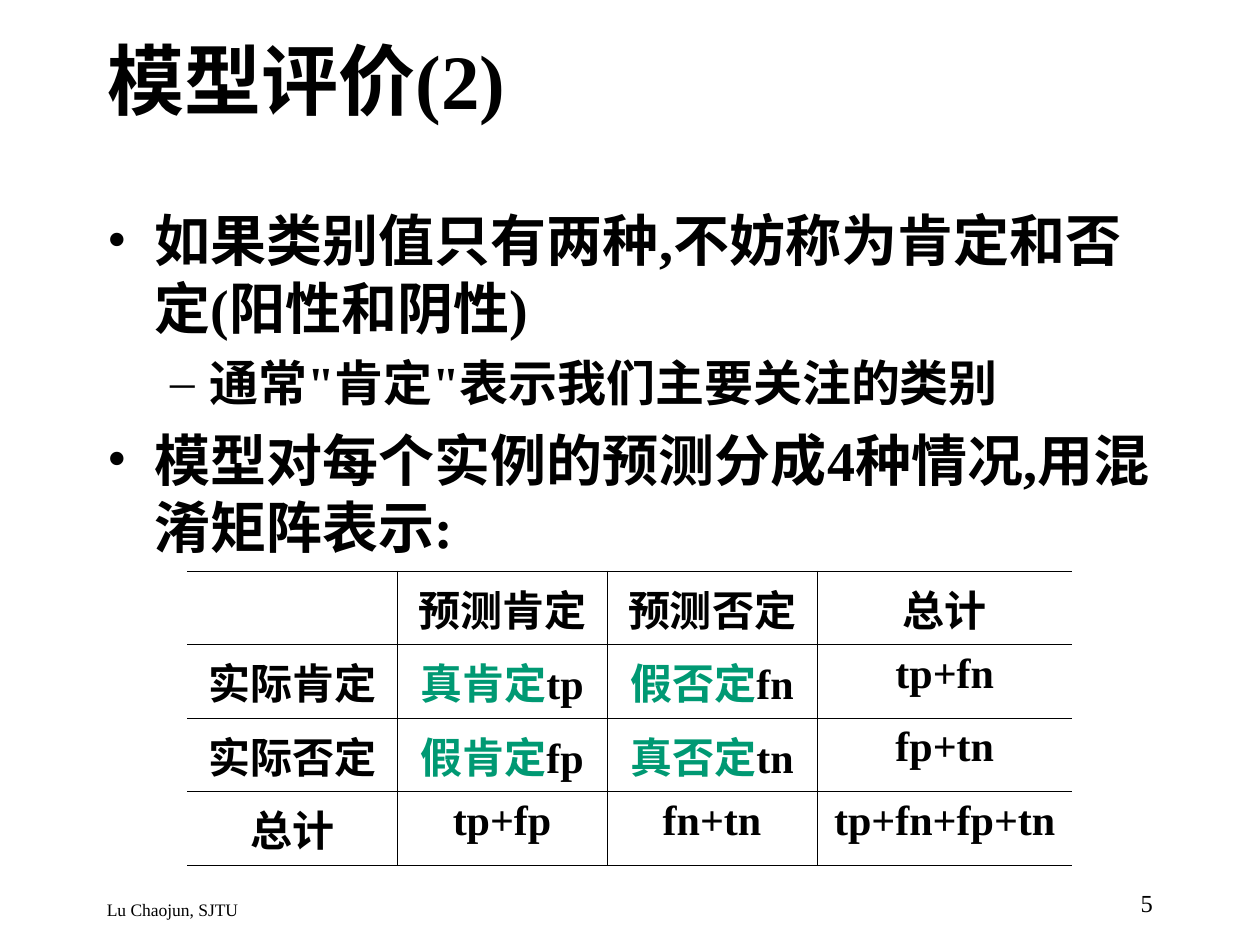
import pptx
import pptx.util
import pptx.dml.color
import pptx.enum.text
import pptx.oxml
import pptx.oxml.ns

Pt = pptx.util.Pt
RGB = pptx.dml.color.RGBColor
Align = pptx.enum.text.PP_ALIGN
Anchor = pptx.enum.text.MSO_ANCHOR
BLACK = RGB(0, 0, 0)
GREEN = RGB(0x00, 0x99, 0x73)
FONT = "Times New Roman"

TITLE = "模型评价(2)"
POINTS = [
    (0, "如果类别值只有两种,不妨称为肯定和否定(阳性和阴性)"),
    (1, "通常\"肯定\"表示我们主要关注的类别"),
    (0, "模型对每个实例的预测分成4种情况,用混淆矩阵表示:"),
]
LEVELS = [
    dict(size=32, left=27, hang=27, mark="•", before=8),
    dict(size=28, left=58.5, hang=22.5, mark="–", before=7),
]
MATRIX = [
    ["", "预测肯定", "预测否定", "总计"],
    ["实际肯定", ("真肯定", "tp"), ("假否定", "fn"), "tp+fn"],
    ["实际否定", ("假肯定", "fp"), ("真否定", "tn"), "fp+tn"],
    ["总计", "tp+fp", "fn+tn", "tp+fn+fp+tn"],
]
WIDTHS = [120, 120, 120, 146]
ROW = 28.8
NOTES = [
    ("Lu Chaojun, SJTU", 10, Align.LEFT, (54, 510, 417.6, 18)),
    ("5", 14, Align.RIGHT, (516, 504, 150, 24)),
]


def element(xml):
    return pptx.oxml.parse_xml(xml.replace(">", " " + pptx.oxml.ns.nsdecls("a") + ">", 1))


def write(para, text, size=24, bold=True, align=Align.LEFT, colors=(BLACK,)):
    para.alignment = align
    parts = (text,) if isinstance(text, str) else text
    for part, color in zip(parts, colors):
        run = para.add_run()
        run.text = part
        run.font.name = FONT
        run.font.size = Pt(size)
        run.font.bold = bold
        run.font.color.rgb = color


def place(shape, box):
    shape.left, shape.top, shape.width, shape.height = map(Pt, box)
    frame = shape.text_frame
    frame.word_wrap = True
    frame.auto_size = pptx.enum.text.MSO_AUTO_SIZE.NONE
    return frame


def bullet(para, left, hang, mark):
    props = para._p.get_or_add_pPr()
    props.set("marL", str(Pt(left)))
    props.set("indent", str(-Pt(hang)))
    props.append(element(f'<a:buClr><a:srgbClr val="{BLACK}"/></a:buClr>'))
    props.append(element(f'<a:buFont typeface="{FONT}"></a:buFont>'))
    props.append(element(f'<a:buChar char="{mark}"></a:buChar>'))


def border(cell, sides):
    props = cell._tc.get_or_add_tcPr()
    for side in "LRTB":
        fill = f'<a:solidFill><a:srgbClr val="{BLACK}"/></a:solidFill>'
        if side not in sides:
            fill = "<a:noFill/>"
        props.append(element(f'<a:ln{side} w="{Pt(0.45)}">{fill}</a:ln{side}>'))


def main():
    deck = pptx.Presentation()
    deck.slide_width, deck.slide_height = Pt(720), Pt(540)
    slide = deck.slides.add_slide(deck.slide_layouts[1])
    title, body = slide.placeholders

    frame = place(title, (54, 0, 612, 90))
    frame.vertical_anchor = Anchor.MIDDLE
    write(frame.paragraphs[0], TITLE, size=44)

    frame = place(body, (54, 114, 612, 366))
    for i, (level, text) in enumerate(POINTS):
        para = frame.add_paragraph() if i else frame.paragraphs[0]
        look = LEVELS[level]
        para.level = level
        para.space_before = Pt(look["before"] if i else 0)
        bullet(para, look["left"], look["hang"], look["mark"])
        write(para, text, size=look["size"])

    for text, size, align, box in NOTES:
        frame = place(slide.shapes.add_textbox(0, 0, 0, 0), box)
        write(frame.paragraphs[0], text, size=size, bold=False, align=align)

    rows, cols = len(MATRIX), len(WIDTHS)
    table = slide.shapes.add_table(
        rows, cols, Pt(106.9), Pt(326.3), Pt(sum(WIDTHS)), Pt(ROW * rows)).table
    table.first_row = table.horz_banding = False
    for col, width in zip(table.columns, WIDTHS):
        col.width = Pt(width)
    for r, line in enumerate(MATRIX):
        table.rows[r].height = Pt(ROW)
        for c, text in enumerate(line):
            cell = table.cell(r, c)
            cell.margin_left = cell.margin_right = Pt(6)
            border(cell, "TB" + "L" * (c > 0) + "R" * (c < cols - 1))
            cell.fill.background()
            if text:
                colors = (BLACK,) if isinstance(text, str) else (GREEN, BLACK)
                write(cell.text_frame.paragraphs[0], text, align=Align.CENTER, colors=colors)

    deck.save("out.pptx")


if __name__ == "__main__":
    main()
